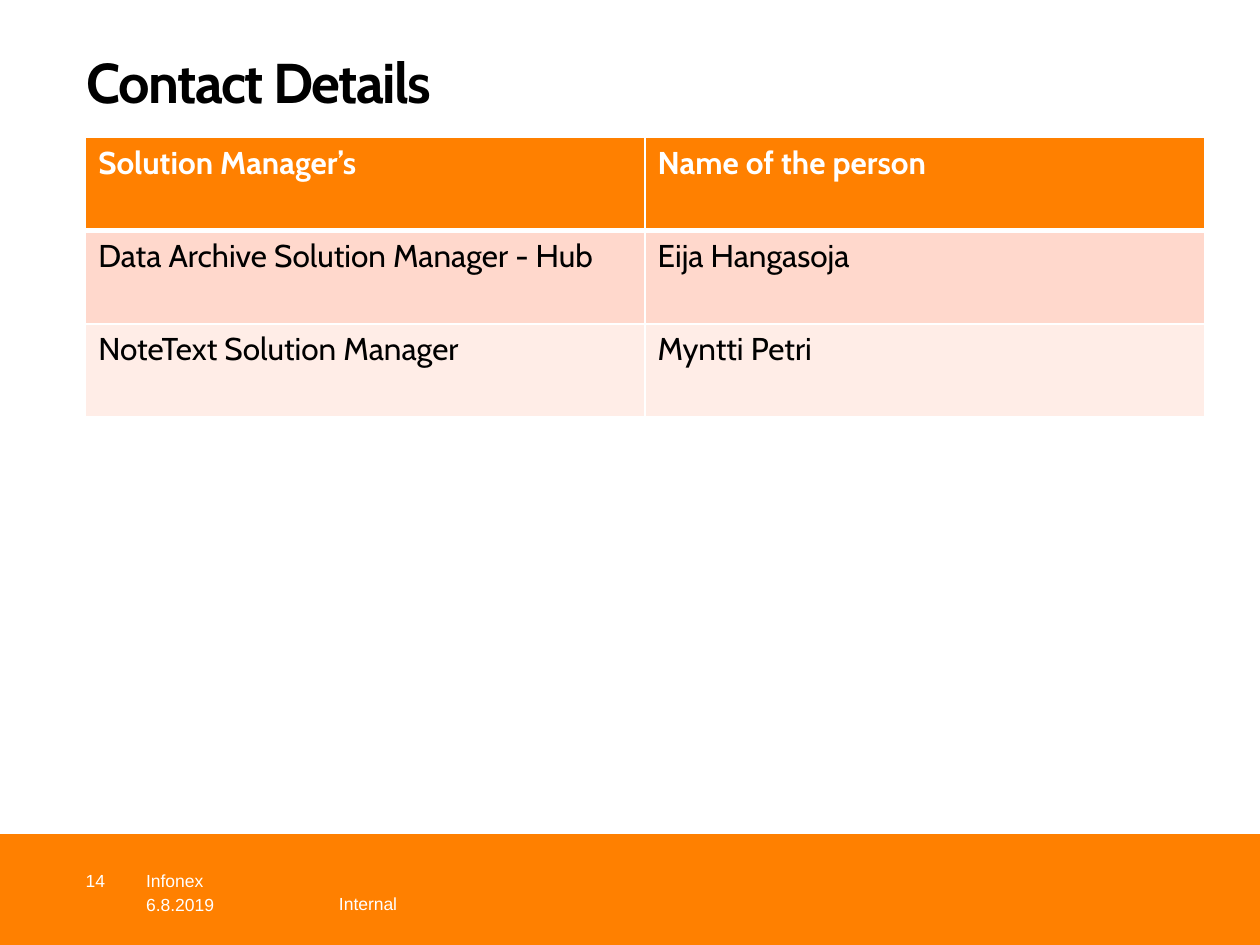
import pptx
import pptx.dml.color
import pptx.enum.shapes
import pptx.enum.text
import pptx.oxml.ns
import pptx.util
from lxml import etree
from pptx.util import Inches

COLORS = {
    "orange": "FF8000",
    "white": "FFFFFF",
    "black": "000000",
    "band_dark": "FFD8CC",
    "band_light": "FFEDE7",
}
ANCHOR = pptx.enum.text.MSO_ANCHOR
CONTACTS = [
    ("Solution Manager’s", "Name of the person"),
    ("Data Archive Solution Manager - Hub", "Eija Hangasoja"),
    ("NoteText Solution Manager", "Myntti Petri"),
]


def rgb(name):
    """Return the named palette colour."""
    return pptx.dml.color.RGBColor.from_string(COLORS[name])


def write_text(frame, text, size=10, font="Arial", color="white", bold=False, spacing=None):
    """Write one formatted run into a text frame."""
    run = frame.paragraphs[0].add_run()
    run.text = text
    run.font.size = pptx.util.Pt(size)
    run.font.name = font
    run.font.bold = bold
    run.font.color.rgb = rgb(color)
    if spacing is not None:
        run._r.get_or_add_rPr().set("spc", str(spacing * 100))


def add_text(slide, box, text, anchor=ANCHOR.TOP, wrap=True, **text_format):
    """Add a text box without insets."""
    frame = slide.shapes.add_textbox(*map(Inches, box)).text_frame
    frame.margin_left = frame.margin_top = frame.margin_right = frame.margin_bottom = 0
    frame.word_wrap = wrap
    frame.vertical_anchor = anchor
    write_text(frame, text, **text_format)


def set_borders(cell, **widths):
    """Draw white cell borders, with widths in points by side."""
    properties = cell._tc.get_or_add_tcPr()
    for side in "LRTB":
        width = pptx.util.Pt(widths.get(side, 1))
        line = etree.SubElement(properties, pptx.oxml.ns.qn(f"a:ln{side}"), w=str(int(width)))
        fill = etree.SubElement(line, pptx.oxml.ns.qn("a:solidFill"))
        etree.SubElement(fill, pptx.oxml.ns.qn("a:srgbClr"), val=COLORS["white"])


def add_contact_table(slide, box, rows):
    """Add the contact table with a bold header row."""
    table = slide.shapes.add_table(len(rows), len(rows[0]), *map(Inches, box)).table
    fills = ["orange", "band_dark", "band_light"]
    borders = [{"B": 3}, {"T": 3}, {}]
    for row_index, row in enumerate(rows):
        header = row_index == 0
        for column_index, text in enumerate(row):
            cell = table.cell(row_index, column_index)
            set_borders(cell, **borders[row_index])
            cell.fill.solid()
            cell.fill.fore_color.rgb = rgb(fills[row_index])
            write_text(cell.text_frame, text, size=18, font="Cabin",
                       color="white" if header else "black", bold=header)


def add_footer(slide, box):
    """Add the orange footer band and its labels."""
    left, top, width, height = box
    band = slide.shapes.add_shape(pptx.enum.shapes.MSO_SHAPE.RECTANGLE, *map(Inches, box))
    band.shadow.inherit = False
    band.fill.solid()
    band.fill.fore_color.rgb = rgb("orange")
    band.line.fill.background()
    add_text(slide, (left + 2.69, top + 0.47, 3.41, 0.2), "Internal", wrap=False)
    add_text(slide, (left + 1.16, top + 0.44, 1.5, 0.2), "6.8.2019", anchor=ANCHOR.BOTTOM)
    add_text(slide, (left + 1.16, top + 0.25, 3.84, 0.2), "Infonex", anchor=ANCHOR.BOTTOM)
    add_text(slide, (left + 0.68, top + 0.21, 0.41, 0.31), "14", anchor=ANCHOR.MIDDLE)


def main():
    """Build and save the contact slide."""
    presentation = pptx.Presentation()
    presentation.slide_width = Inches(10)
    presentation.slide_height = Inches(7.5)
    slide = presentation.slides.add_slide(presentation.slide_layouts[6])
    add_footer(slide, (0, 6.62, 10, 0.89))
    add_text(slide, (0.69, 0.38, 8.88, 0.71), "Contact Details",
             size=32, font="Cabin", color="black", bold=True, spacing=-1)
    add_contact_table(slide, (0.68, 1.09, 8.88, 2.22), CONTACTS)
    presentation.save("out.pptx")


if __name__ == "__main__":
    main()
